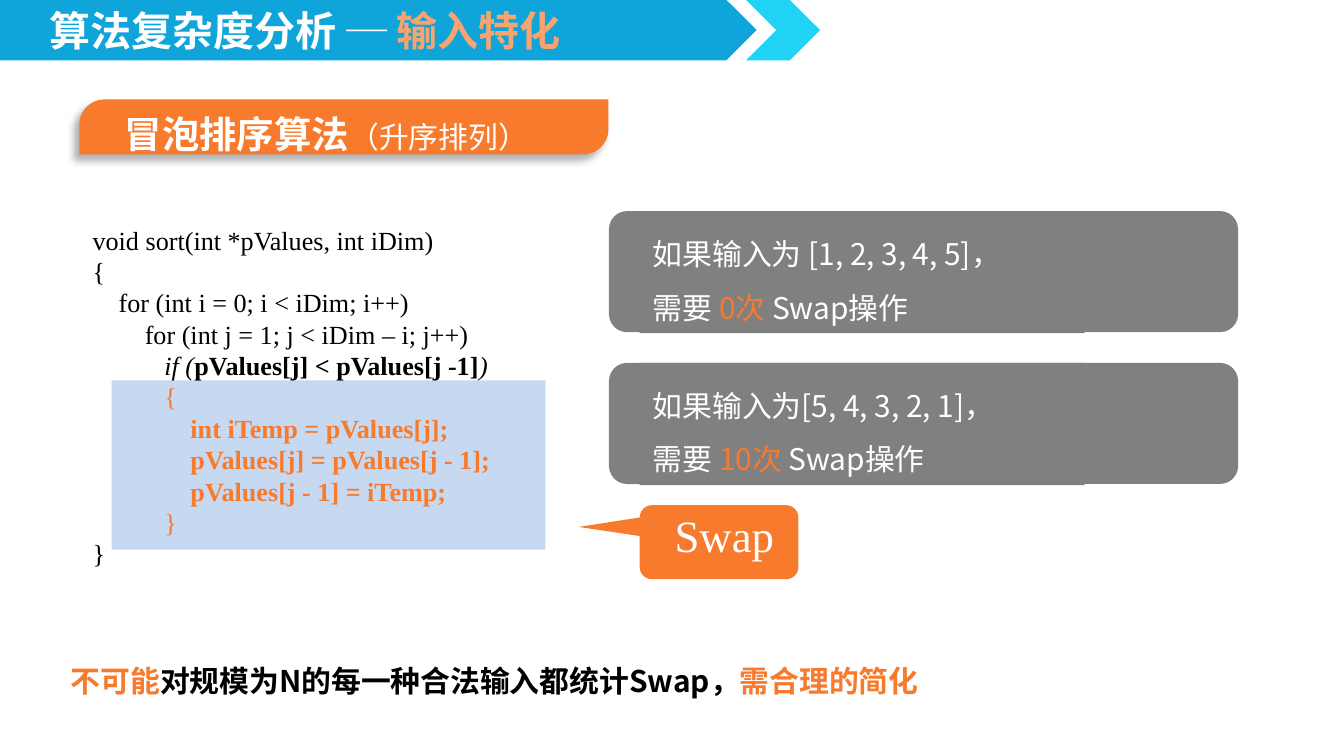
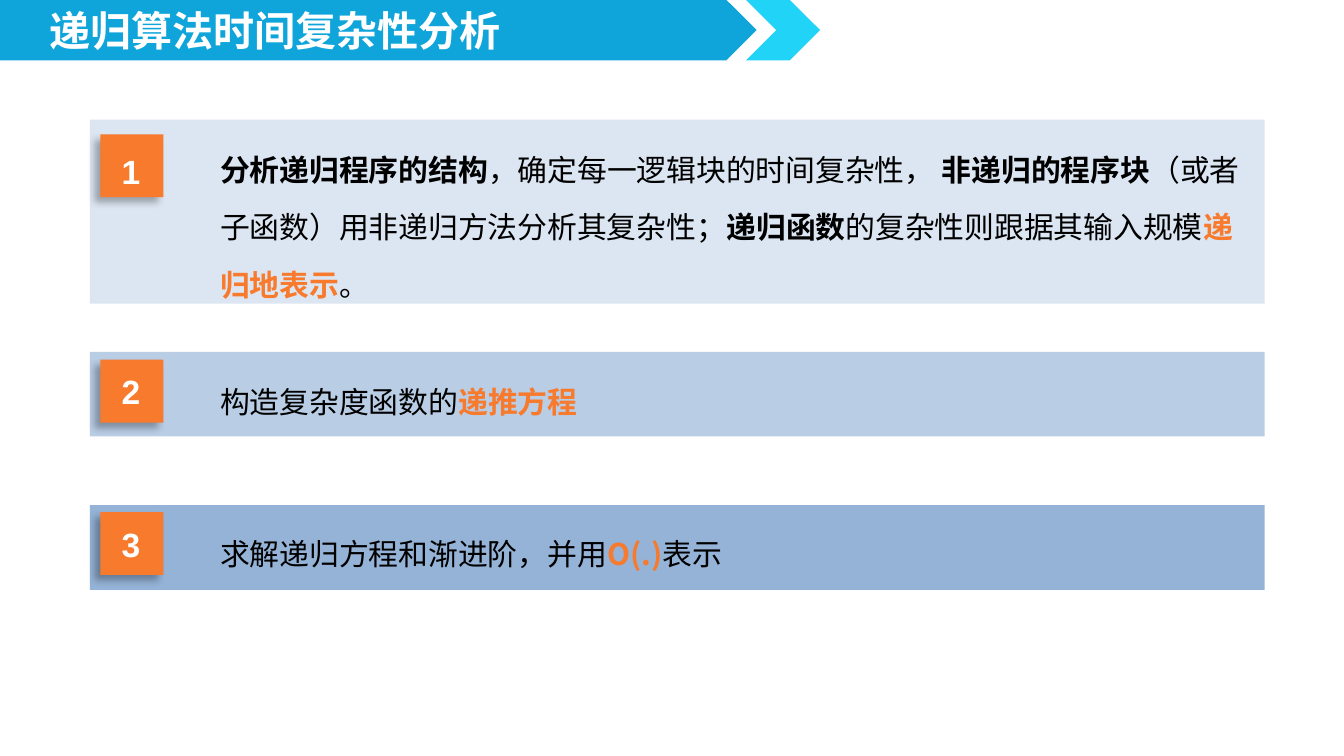
from dataclasses import dataclass

from lxml.etree import SubElement
from pptx import Presentation
from pptx.dml.color import RGBColor
from pptx.enum.shapes import MSO_SHAPE as Shape
from pptx.enum.text import MSO_ANCHOR as Anchor, MSO_AUTO_SIZE as AutoSize, PP_ALIGN as Align
from pptx.oxml.ns import qn
from pptx.util import Cm, Pt


@dataclass(frozen=True)
class Theme:
    """Colours, fonts and type sizes shared by the slides."""
    band: str = "10A5DA"
    chevron: str = "21D3F7"
    accent: str = "F77A2D"
    accent_soft: str = "F9A46F"
    highlight: str = "C6D9F1"
    card: str = "808080"
    steps: tuple = ("DCE6F2", "B9CDE5", "95B3D7")
    ink: str = "000000"
    white: str = "FFFFFF"
    sans: str = "Noto Sans CJK SC"
    serif: str = "Times New Roman"
    digits: str = "Arial"
    title: int = 22
    heading: int = 20
    body: int = 16
    code: int = 14
    number: int = 18
    callout: int = 24


T = Theme()


@dataclass(frozen=True)
class Run:
    """A stretch of text with its own look."""
    text: str
    color: str = T.ink
    bold: bool = False
    italic: bool = False
    size: int = T.body
    font: str = T.sans


def add_runs(p, runs):
    """Append the runs to a paragraph."""
    for run in runs:
        r = p.add_run()
        r.text = run.text
        f = r.font
        f.size, f.bold, f.italic = Pt(run.size), run.bold, run.italic
        f.color.rgb = RGBColor.from_string(run.color)
        f.name = run.font
        SubElement(r._r.get_or_add_rPr(), qn("a:ea"), typeface=run.font)


def fill_text(sp, paragraphs, spacing=1.0, wrap=True):
    """Write left-aligned paragraphs from the top of a shape."""
    tf = sp.text_frame
    tf.word_wrap, tf.auto_size, tf.vertical_anchor = wrap, AutoSize.NONE, Anchor.TOP
    for i, runs in enumerate(paragraphs):
        p = tf.paragraphs[0] if i == 0 else tf.add_paragraph()
        p.alignment, p.line_spacing = Align.LEFT, spacing
        add_runs(p, runs)


def add_text(s, box, paragraphs, spacing=1.0, wrap=True):
    """Add a text box; box is left, top, width, height in centimetres."""
    sp = s.shapes.add_textbox(*map(Cm, box))
    fill_text(sp, paragraphs, spacing, wrap)
    return sp


def add_block(s, kind, box, color, adjustments=(), shadow=False):
    """Add a filled shape without outline, with an optional soft shadow."""
    sp = s.shapes.add_shape(kind, *map(Cm, box))
    sp.fill.solid()
    sp.fill.fore_color.rgb = RGBColor.from_string(color)
    sp.line.fill.background()
    sp.shadow.inherit = False
    for i, value in enumerate(adjustments):
        sp.adjustments[i] = value
    if shadow:
        effects = sp.element.spPr.find(qn("a:effectLst"))
        outer = SubElement(effects, qn("a:outerShdw"), blurRad=str(Pt(4)), dist=str(Pt(4)),
                           dir="8100000", algn="tr", rotWithShape="0")
        clr = SubElement(outer, qn("a:srgbClr"), val=T.ink)
        SubElement(clr, qn("a:alpha"), val="29000")
    return sp


def add_band(s, layout):
    """Draw the title band and move it to the shared layout."""
    band = (add_block(s, Shape.PENTAGON, (0, 0, 14.3, 1.14), T.band),
            add_block(s, Shape.CHEVRON, (14.1, 0, 1.4, 1.14), T.chevron))
    for i, sp in enumerate(band):
        sp.element.xpath(".//p:cNvPr")[0].set("id", str(20 + i))
        layout.shapes.element.insert(2 + i, sp.element)


def set_title(s, width, *parts):
    """Place the title on the band; parts are (text, colour) pairs."""
    sp = s.shapes.title
    sp.left, sp.top, sp.width, sp.height = map(Cm, (0.69, 0.15, width, 1.02))
    runs = [Run(text, color, bold=True, size=T.title) for text, color in parts]
    fill_text(sp, [runs], 0.8, wrap=False)


def add_heading_tag(s, box, name, note):
    """Add the orange tag that names the algorithm."""
    x, y, w, h = box
    add_block(s, Shape.ROUND_2_DIAG_RECTANGLE, box, T.accent, (0.46, 0), shadow=True)
    runs = [Run(name, T.white, bold=True, size=T.heading), Run(note, T.white)]
    add_text(s, (x + 0.61, y - 0.33, w - 1.8, h + 0.36), [runs], 1.5, wrap=False)


def add_code(s, box):
    """Add the listing with its swap block highlighted."""
    x, y, w, h = box

    def code(text, color=T.ink, **look):
        return Run(text, color, size=T.code, font=T.serif, **look)

    add_block(s, Shape.RECTANGLE, (x + 0.61, y + 3.08, w - 1.2, 3.2), T.highlight)
    opening = ["void sort(int *pValues, int iDim)", "{",
               "    for (int i = 0; i < iDim; i++)",
               "        for (int j = 1; j < iDim – i; j++)"]
    test = [code("           if (", italic=True),
            code("pValues[j] < pValues[j -1]", bold=True), code(")", italic=True)]
    swap = ["int iTemp = pValues[j];", "pValues[j] = pValues[j - 1];", "pValues[j - 1] = iTemp;"]
    lines = [[code(text)] for text in opening] + [test]
    lines += [[code("           {", T.accent)]]
    lines += [[code("               " + text, T.accent, bold=True)] for text in swap]
    lines += [[code("           }", T.accent)], [code("}")]]
    add_text(s, box, lines)


def add_case_card(s, box, condition, count):
    """Add a grey card with an input and its number of swaps."""
    x, y, w, h = box
    add_block(s, Shape.ROUNDED_RECTANGLE, box, T.card, (0.149,))
    sp = add_block(s, Shape.RECTANGLE, (x + 0.58, y, 8.41, h + 0.02), T.card)
    fill_text(sp, [[Run(condition, T.white)],
                   [Run("需要 ", T.white), Run(count, T.accent), Run("Swap操作", T.white)]], 1.5)


def add_callout(s, box, label):
    """Add the callout that points at the swap block."""
    x, y, w, h = box
    add_block(s, Shape.ROUNDED_RECTANGULAR_CALLOUT, box, T.accent, (-0.884, -0.206, 0.167))
    run = Run(label, T.white, size=T.callout, font=T.serif)
    add_text(s, (x + 0.41, y - 0.08, w - 0.59, h - 0.13), [[run]], wrap=False)


def add_step(s, box, number, color, badge_dy, number_dy, text_dy, runs):
    """Add a numbered step on a tinted bar."""
    x, y, w, h = box
    badge_x, badge_y, side = x + 0.2, y + badge_dy, 1.19
    add_block(s, Shape.RECTANGLE, box, color)
    add_text(s, (x + 2.21, y + text_dy, w - 2.21, h - text_dy), [runs], 1.6)
    add_block(s, Shape.RECTANGLE, (badge_x, badge_y, side, side), T.accent, shadow=True)
    label = Run(str(number), T.white, bold=True, size=T.number, font=T.digits)
    add_text(s, (badge_x + 0.15, badge_y + number_dy, 0.86, 1.02), [[label]], wrap=False)


def build_input_slide(s):
    """Fill the slide on how the input changes the cost."""
    set_title(s, 10.16, ("算法复杂度分析 ─ ", T.white), ("输入特化", T.accent_soft))
    add_heading_tag(s, (1.5, 1.88, 10, 1.04), "冒泡排序算法", "（升序排列）")
    add_code(s, (1.5, 4.11, 9.4, 7.44))
    cases = [("如果输入为 [1, 2, 3, 4, 5]，", "0次 "), ("如果输入为[5, 4, 3, 2, 1]，", "10次 ")]
    for i, case in enumerate(cases):
        add_case_card(s, (11.51, 3.99 + 2.87 * i, 11.89, 2.29), *case)
    add_callout(s, (12.09, 9.55, 3, 1.4), "Swap")
    add_text(s, (1.09, 12.4, 20.6, 0.94), [[
        Run("不可能", T.accent, bold=True),
        Run("对规模为N的每一种合法输入都统计Swap，", bold=True),
        Run("需合理的简化", T.accent, bold=True)]])


def build_recursion_slide(s):
    """Fill the slide on the steps for analysing recursion."""
    set_title(s, 9.14, ("递归算法时间复杂性分析", T.white))
    structure = [
        Run("分析递归程序的结构", bold=True), Run("，确定每一逻辑块的时间复杂性， "),
        Run("非递归的程序块", bold=True), Run("（或者子函数）用非递归方法分析其复杂性；"),
        Run("递归函数", bold=True), Run("的复杂性则跟据其输入规模"),
        Run("递归地表示", T.accent, bold=True), Run("。")]
    equation = [Run("构造复杂度函数的"), Run("递推方程", T.accent, bold=True)]
    solution = [Run("求解递归方程和渐进阶，并用"), Run("O(.)", T.accent, bold=True), Run("表示")]
    steps = [(2.26, 3.48, 0.28, 0.18, 0.08, structure),
             (6.65, 1.6, 0.15, 0.08, 0.08, equation),
             (9.55, 1.6, 0.13, 0.1, 0.05, solution)]
    for i, (top, height, *details) in enumerate(steps):
        add_step(s, (1.7, top, 22.2, height), i + 1, T.steps[i], *details)


def main():
    """Build and save the presentation."""
    prs = Presentation()
    prs.slide_width, prs.slide_height = Cm(25.4), Cm(14.29)
    layout = prs.slide_layouts[5]
    for i, build in enumerate((build_input_slide, build_recursion_slide)):
        s = prs.slides.add_slide(layout)
        if i == 0:
            add_band(s, layout)
        build(s)
    prs.save("out.pptx")


if __name__ == "__main__":
    main()
